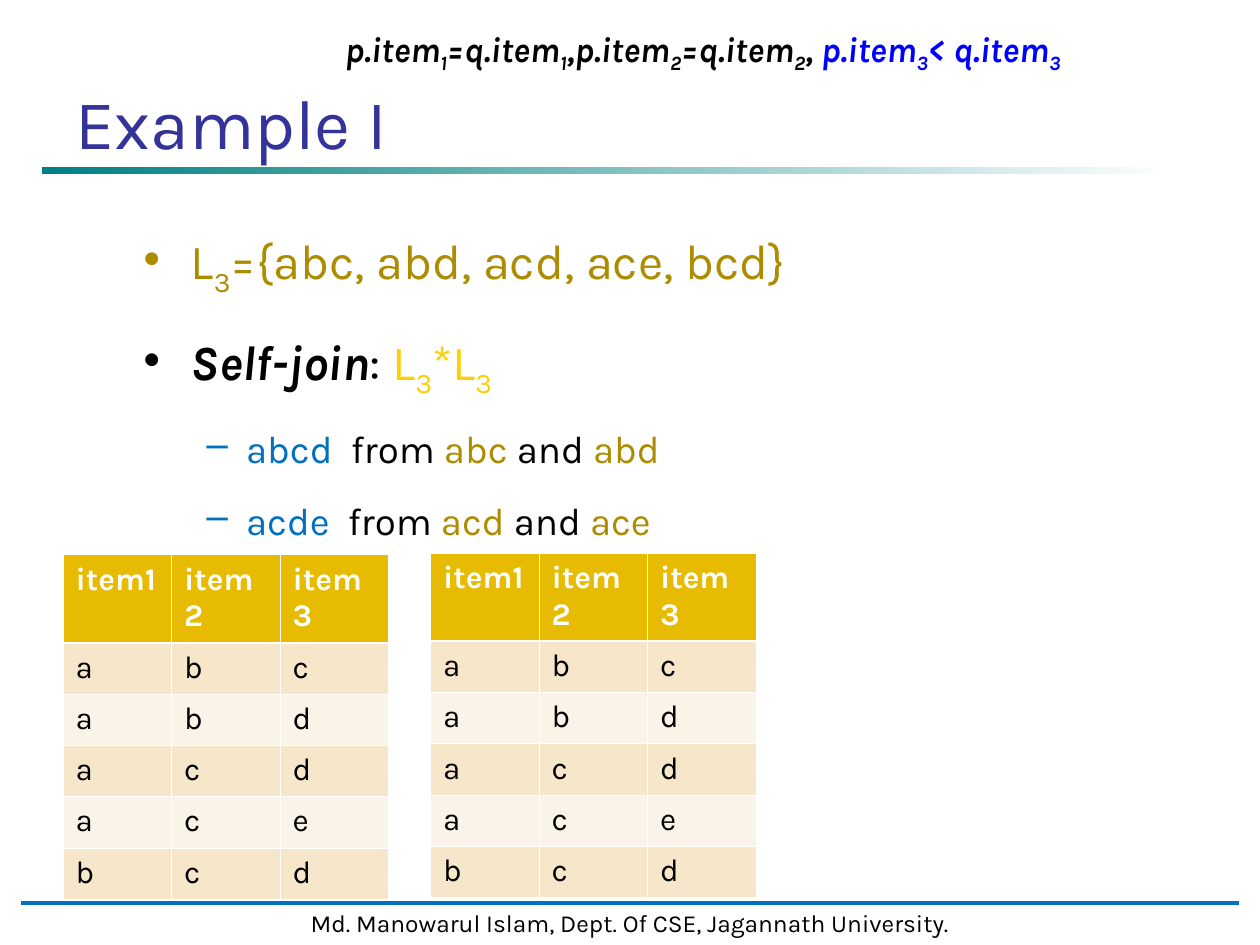
import pptx
import pptx.dml.color
import pptx.enum.shapes
import pptx.enum.text
import pptx.oxml
import pptx.oxml.ns
import pptx.util
from dataclasses import dataclass

Pt = pptx.util.Pt
ALIGN = pptx.enum.text.PP_ALIGN
ANCHOR = pptx.enum.text.MSO_ANCHOR
qn = pptx.oxml.ns.qn


def rgb(value):
    return pptx.dml.color.RGBColor.from_string(value)


def add_xml(parent, tag, **attributes):
    child = parent.makeelement(qn(tag), attributes)
    parent.append(child)
    return child


@dataclass(frozen=True)
class Theme:
    font: str = "Karla"
    black: str = "000000"
    white: str = "FFFFFF"
    title: str = "333399"
    teal: str = "008080"
    blue: str = "0070C0"
    bright_blue: str = "0000FF"
    olive: str = "AD8C01"
    yellow: str = "FFCF01"
    header_fill: str = "E7BB01"
    row_fills: tuple = ("F6E7CB", "FAF3E7")
    title_size: int = 40
    bullet_size: int = 28
    sub_size: int = 22
    condition_size: int = 20
    table_size: int = 18
    footer_size: int = 14


class SlideBuilder:
    def __init__(self, deck, theme):
        self.theme = theme
        self.slide = deck.slides.add_slide(deck.slide_layouts[5])

    def format_span(self, span, size, color, bold=False, italic=False):
        span.font.name = self.theme.font
        span.font.size = Pt(size)
        span.font.color.rgb = rgb(color)
        span.font.bold = bold
        span.font.italic = italic

    def add_spans(self, para, pieces, size, bold=False, italic=False):
        """Each piece is (text, colour); an underscore starts a one-digit subscript."""
        for text, color in pieces:
            first, *rest = text.split("_")
            parts = [(first, False)]
            for part in rest:
                parts += [(part[0], True), (part[1:], False)]
            for words, lowered in parts:
                if words:
                    span = para.add_run()
                    span.text = words
                    self.format_span(span, size, color, bold, italic)
                    if lowered:
                        span.font._element.set("baseline", "-25000")

    def title(self, text, left, top, width, height):
        box = self.slide.shapes.title
        box.left, box.top, box.width, box.height = map(Pt, (left, top, width, height))
        frame = box.text_frame
        frame.text = text
        frame.auto_size = pptx.enum.text.MSO_AUTO_SIZE.NONE
        frame.vertical_anchor = ANCHOR.TOP
        frame.paragraphs[0].alignment = ALIGN.LEFT
        self.format_span(frame.paragraphs[0].runs[0], self.theme.title_size, self.theme.title)

    def rectangle(self, left, top, width, height):
        box = self.slide.shapes.add_shape(
            pptx.enum.shapes.MSO_SHAPE.RECTANGLE, *map(Pt, (left, top, width, height)))
        box.shadow.inherit = False
        box.line.fill.background()
        return box

    def fading_bar(self, left, top, width, height):
        bar = self.rectangle(left, top, width, height)
        bar.fill.gradient()
        bar.fill.gradient_angle = 0
        for stop, color in zip(bar.fill.gradient_stops, (self.theme.teal, self.theme.white)):
            stop.color.rgb = rgb(color)

    def footer(self, text, left, top, width, height):
        box = self.rectangle(left, top, width, height)
        box.fill.solid()
        box.fill.fore_color.rgb = rgb(self.theme.white)
        box.line.color.rgb = rgb(self.theme.white)
        box.line.width = Pt(2)
        box.text_frame.text = text
        box.text_frame.word_wrap = False
        box.text_frame.vertical_anchor = ANCHOR.MIDDLE
        para = box.text_frame.paragraphs[0]
        para.alignment = ALIGN.CENTER
        self.format_span(para.runs[0], self.theme.footer_size, self.theme.black)

    def rule(self, left, right, y):
        line = self.slide.shapes.add_connector(
            pptx.enum.shapes.MSO_CONNECTOR.STRAIGHT, Pt(left), Pt(y), Pt(right), Pt(y))
        line.line.color.rgb = rgb(self.theme.blue)
        line.line.width = Pt(1.75)
        add_xml(line._element.spPr, "a:effectLst")

    def text_box(self, left, top, width, height):
        box = self.slide.shapes.add_textbox(*map(Pt, (left, top, width, height)))
        box.text_frame.word_wrap = True
        return box.text_frame

    def condition(self, pieces, left, top, width, height):
        frame = self.text_box(left, top, width, height)
        self.add_spans(frame.paragraphs[0], pieces, self.theme.condition_size, True, True)

    def bullets(self, items, left, top, width, height):
        """Each item is (level, bullet colour, bold lead, pieces)."""
        frame = self.text_box(left, top, width, height)
        for number, (level, color, lead, pieces) in enumerate(items):
            para = frame.add_paragraph() if number else frame.paragraphs[0]
            para.level = level
            para.line_spacing = 1.3
            if number:
                para.space_before = Pt(7 if level else 8)
            margin, hanging = ((58.5, 22.5) if level else (27, 27))
            properties = para._p.get_or_add_pPr()
            properties.set("marL", str(Pt(margin)))
            properties.set("indent", str(-Pt(hanging)))
            add_xml(add_xml(properties, "a:buClr"), "a:srgbClr", val=color)
            add_xml(properties, "a:buChar", char="–" if level else "•")
            size = self.theme.sub_size if level else self.theme.bullet_size
            self.add_spans(para, lead, size, True, True)
            self.add_spans(para, pieces, size)

    def cell_border(self, cell, side, width):
        line = add_xml(cell._tc.get_or_add_tcPr(), f"a:{side}", w=str(Pt(width)))
        add_xml(add_xml(line, "a:solidFill"), "a:srgbClr", val=self.theme.white)

    def item_table(self, rows, left, top, column_width, header_height, row_height):
        theme = self.theme
        count, columns = len(rows), len(rows[0])
        height = header_height + row_height * (count - 1)
        table = self.slide.shapes.add_table(
            count, columns, *map(Pt, (left, top, column_width * columns, height))).table
        for column in table.columns:
            column.width = Pt(column_width)
        for r, values in enumerate(rows):
            table.rows[r].height = Pt(row_height if r else header_height)
            for c, value in enumerate(values):
                cell = table.cell(r, c)
                cell.text = value
                span = cell.text_frame.paragraphs[0].runs[0]
                self.format_span(span, theme.table_size,
                                 theme.black if r else theme.white, bold=r == 0)
                # Heavier line between the header and the first row
                self.cell_border(cell, "lnL", 0.45)
                self.cell_border(cell, "lnR", 0.45)
                self.cell_border(cell, "lnT", 1.47 if r == 1 else 0.45)
                self.cell_border(cell, "lnB", 1.47 if r == 0 else 0.45)
                cell.fill.solid()
                cell.fill.fore_color.rgb = rgb(theme.row_fills[(r - 1) % 2] if r
                                               else theme.header_fill)


def main():
    deck = pptx.Presentation()
    deck.slide_width, deck.slide_height = Pt(720), Pt(540)
    theme = Theme()
    builder = SlideBuilder(deck, theme)

    # Frame of the slide
    builder.fading_bar(24, 95.5, 648, 4)
    builder.footer("Md. Manowarul Islam, Dept. Of CSE, Jagannath University.", 12, 515, 696, 24)
    builder.rule(12, 708, 516)

    # Title and join example
    builder.title("Example I", 36, 42, 648, 78)

    def joined(result, first, second):
        pieces = [(f"{result}  ", theme.blue), ("from ", theme.black),
                  (f"{first} ", theme.olive), ("and ", theme.black), (second, theme.olive)]
        return 1, theme.blue, [], pieces

    builder.bullets([
        (0, theme.olive, [], [("L_3={abc, abd, acd, ace, bcd}", theme.olive)]),
        (0, theme.black, [("Self-join", theme.black)],
         [(": ", theme.black), ("L_3*L_3", theme.yellow)]),
        joined("abcd", "abc", "abd"),
        joined("acde", "acd", "ace"),
    ], 75, 117, 528, 396)

    # The same item sets on both sides of the join
    item_sets = [("item1", "item2", "item3"), *map(tuple, ("abc", "abd", "acd", "ace", "bcd"))]
    for left, top in ((36, 317), (246, 316)):
        builder.item_table(item_sets, left, top, 62, 50.4, 29.3)

    # Join condition
    builder.condition([
        ("p.item_1=q.item_1,p.item_2=q.item_2, ", theme.black),
        ("p.item_3< q.item_3", theme.bright_blue),
    ], 190, 12, 475, 35)

    deck.save("out.pptx")


if __name__ == "__main__":
    main()
